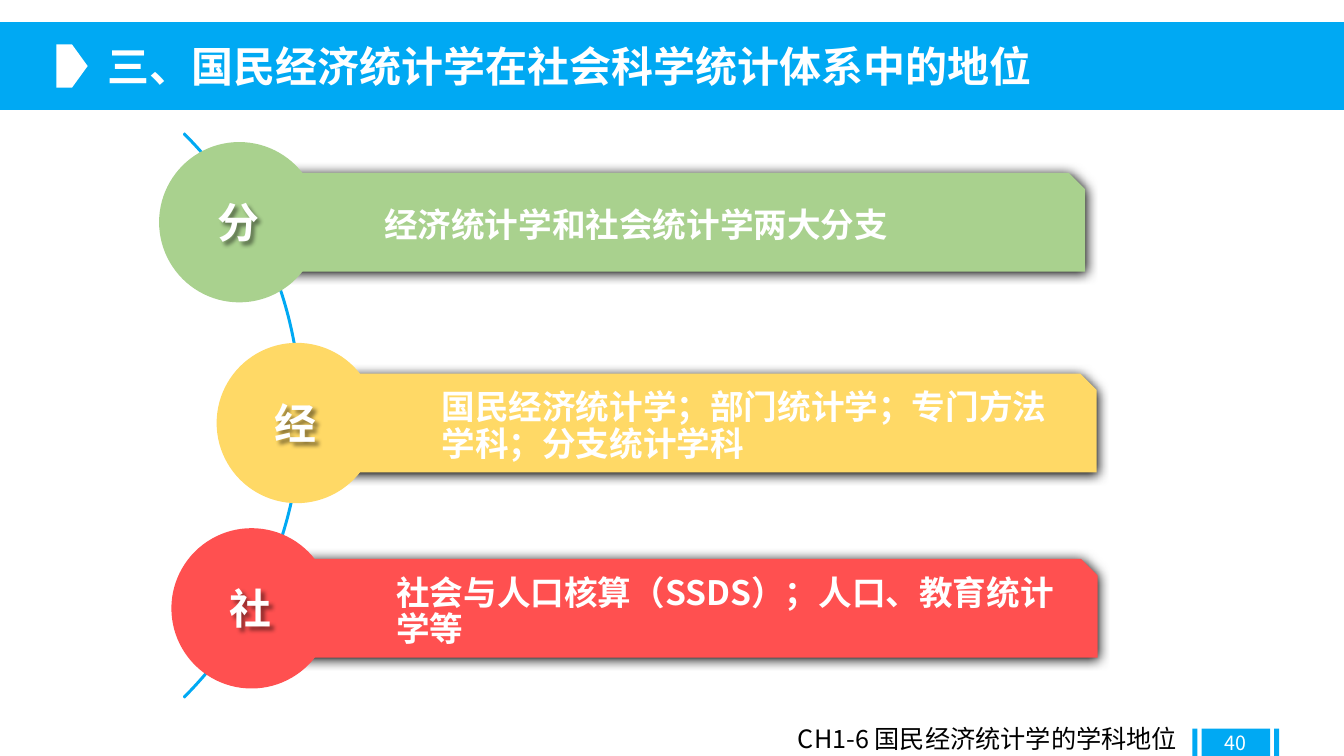
from lxml import etree
from pptx import Presentation
from pptx.dml.color import RGBColor
from pptx.enum.shapes import MSO_SHAPE
from pptx.enum.text import MSO_ANCHOR, PP_ALIGN
from pptx.oxml.ns import qn
from pptx.util import Cm, Pt

RECT = MSO_SHAPE.RECTANGLE
ARC = MSO_SHAPE.BLOCK_ARC
PENTAGON = MSO_SHAPE.PENTAGON
SNIPPED = MSO_SHAPE.SNIP_1_RECTANGLE
OVAL = MSO_SHAPE.OVAL
TOP, MIDDLE = MSO_ANCHOR.TOP, MSO_ANCHOR.MIDDLE
LEFT, CENTER = PP_ALIGN.LEFT, PP_ALIGN.CENTER

FONT = "Noto Sans CJK SC"
BLUE, WHITE, BLACK = "00A9F3", "FFFFFF", "000000"

CIRCLE = 4.04       # circle diameter, cm
BAR_HEIGHT = 2.49
BAR_OFFSET = 2.49   # from circle left to bar left

# circle left, circle top, bar width, colour, label, bar text
BRANCHES = [
    (4.01, 3.58, 20.85, "A9D18E", "分", "经济统计学和社会统计学两大分支"),
    (5.46, 8.64, 19.69, "FFD966", "经",
     "国民经济统计学；部门统计学；专门方法学科；分支统计学科"),
    (4.32, 13.31, 20.85, "FF5050", "社",
     "社会与人口核算（SSDS）；人口、教育统计学等"),
]


def color(hex_string):
    return RGBColor.from_string(hex_string)


def add_shape(s, kind, x, y, w, h, fill):
    sp = s.shapes.add_shape(kind, Cm(x), Cm(y), Cm(w), Cm(h))
    sp.shadow.inherit = False
    sp.fill.solid()
    sp.fill.fore_color.rgb = color(fill)
    sp.line.fill.background()
    return sp


def add_shadow(sp, blur, distance, angle, opacity):
    """Give a shape an outer black shadow; blur and distance in points."""
    sp.shadow.inherit = False
    effects = sp._element.spPr.find(qn("a:effectLst"))
    shadow = etree.SubElement(
        effects, qn("a:outerShdw"), blurRad=str(Pt(blur)),
        dist=str(Pt(distance)), dir=str(angle * 60000), algn="ctr",
        rotWithShape="0")
    black = etree.SubElement(shadow, qn("a:srgbClr"), val=BLACK)
    etree.SubElement(black, qn("a:alpha"), val=str(opacity * 1000))


def write(sp, text, size, fill, bold=False, align=LEFT, anchor=TOP, wrap=True):
    tf = sp.text_frame
    tf.word_wrap = wrap
    tf.vertical_anchor = anchor
    p = tf.paragraphs[0]
    p.text = text
    p.alignment = align
    p.font.size = Pt(size)
    p.font.bold = bold
    p.font.color.rgb = color(fill)
    p.font.name = FONT
    latin = p._p.pPr.find(qn("a:defRPr")).find(qn("a:latin"))
    ea = etree.Element(qn("a:ea"), typeface=FONT)
    latin.addnext(ea)
    return p


def add_text(s, x, y, w, h, text, size, fill, **style):
    sp = s.shapes.add_textbox(Cm(x), Cm(y), Cm(w), Cm(h))
    write(sp, text, size, fill, **style)
    return sp


def add_arc(s):
    sp = s.shapes.add_shape(ARC, Cm(-12.52), Cm(0.41), Cm(20.12), Cm(20.12))
    sp.shadow.inherit = False
    sp.fill.background()
    sp.line.color.rgb = color(BLUE)
    sp.line.width = Pt(1)
    for i, value in enumerate((189, 27, 0.002)):
        sp.adjustments[i] = value


def add_bar(s, x, y, w, fill, text):
    sp = add_shape(s, SNIPPED, x, y, w, BAR_HEIGHT, fill)
    add_shadow(sp, 8.5, 1, 90, 100)
    p = write(sp, text, 24, WHITE, bold=True, anchor=MIDDLE)
    p.line_spacing = 0.9
    tf = sp.text_frame
    tf.margin_left = Cm(3.18)
    tf.margin_top = tf.margin_right = tf.margin_bottom = Cm(0.36)


def add_branch(s, x, y, bar_width, fill, label, text):
    bar_top = y + (CIRCLE - BAR_HEIGHT) / 2
    add_bar(s, x + BAR_OFFSET, bar_top, bar_width, fill, text)
    add_shape(s, OVAL, x, y, CIRCLE, CIRCLE, fill)
    sp = add_text(s, x + 1.22, y + 1.25, 1.57, 1.55, label, 30, WHITE,
                  bold=True, wrap=False)
    add_shadow(sp, 3, 3, 45, 43)


def main():
    prs = Presentation()
    prs.slide_width, prs.slide_height = Cm(33.87), Cm(19.05)
    s = prs.slides.add_slide(prs.slide_layouts[6])

    # Title banner
    add_shape(s, RECT, 0, 0.56, 33.87, 2.21, BLUE)
    add_shape(s, PENTAGON, 1.42, 1.12, 0.79, 1.09, WHITE)
    add_text(s, 2.47, 0.89, 24.1, 1.55,
             "三、国民经济统计学在社会科学统计体系中的地位",
             30, WHITE, bold=True, wrap=False)

    # Branches along the arc
    add_arc(s)
    for branch in BRANCHES:
        add_branch(s, *branch)

    # Footer with page number
    for x, w in ((30.05, 0.13), (30.28, 1.73), (32.11, 0.13)):
        add_shape(s, RECT, x, 18.36, w, 0.69, BLUE)
    add_text(s, 30.28, 18.21, 1.73, 1.02, "40", 14, WHITE,
             align=CENTER, anchor=MIDDLE)
    add_text(s, 19.86, 18.11, 10.21, 1.02, "CH1-6 国民经济统计学的学科地位",
             18, BLACK)

    prs.save("out.pptx")


if __name__ == "__main__":
    main()
